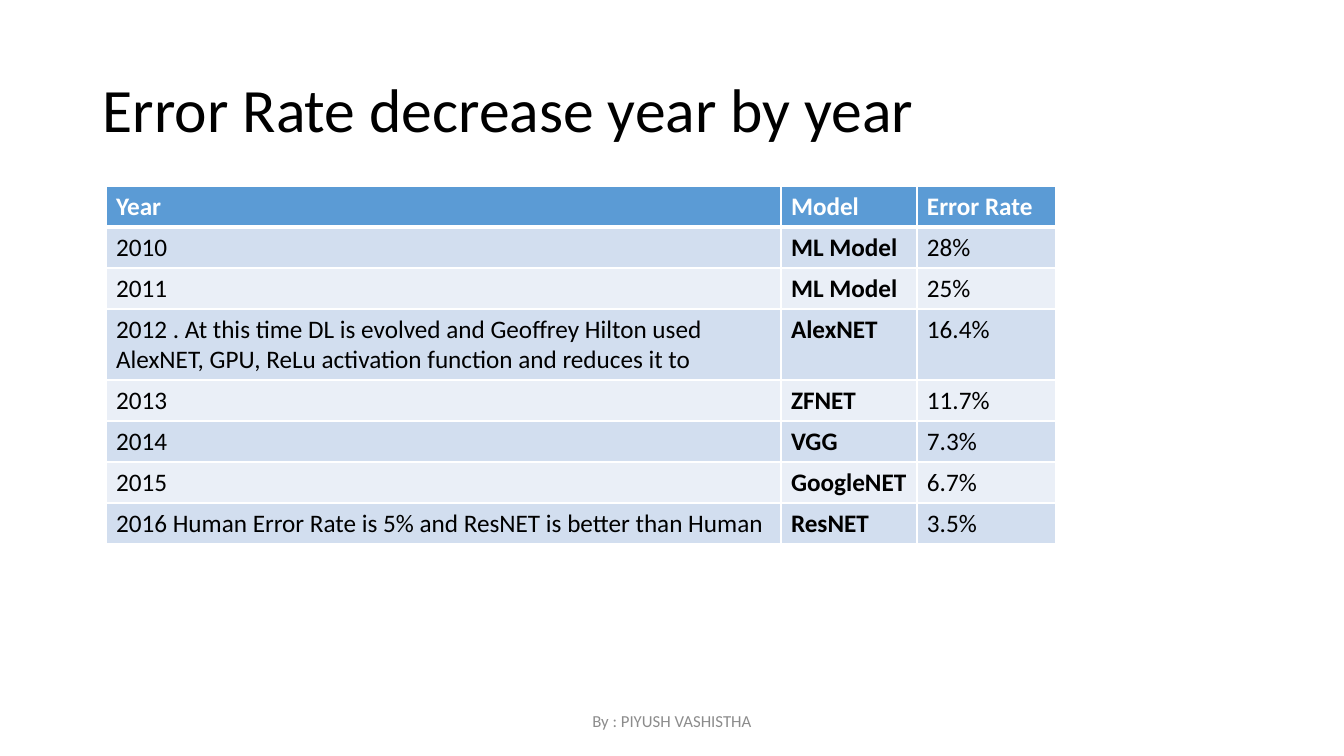
import pptx
import pptx.dml.color
import pptx.enum.text
import pptx.oxml
import pptx.oxml.ns
import pptx.util

PX = 914400 / 100.8
ANCHOR = pptx.enum.text.MSO_ANCHOR
ALIGN = pptx.enum.text.PP_ALIGN
WHITE, BLACK, GRAY = "FFFFFF", "000000", "8C8C8C"
HEAD, BANDS = "5B9BD5", ("D2DEEF", "EAEFF7")

COLS = (675, 136, 139)
ROWS = (
    ("Year", "Model", "Error Rate"),
    ("2010", "ML Model", "28%"),
    ("2011", "ML Model", "25%"),
    ("2012 . At this time DL is evolved and Geoffrey Hilton used AlexNET, GPU, "
     "ReLu activation function and reduces it to", "AlexNET", "16.4%"),
    ("2013", "ZFNET", "11.7%"),
    ("2014", "VGG", "7.3%"),
    ("2015", "GoogleNET", "6.7%"),
    ("2016 Human Error Rate is 5% and ResNET is better than Human", "ResNET", "3.5%"),
)
LONG = 3


def emu(px):
    return pptx.util.Emu(round(px * PX))


def color(code):
    return pptx.dml.color.RGBColor.from_string(code)


def apply(item, values):
    for name, value in values.items():
        setattr(item, name, value)


def style(para, size, code, bold=False):
    font = para.runs[0].font
    apply(font, {"name": "Calibri", "size": pptx.util.Pt(size), "bold": bold})
    font.color.rgb = color(code)


def label(slide, box, text, size, code, form):
    frame = slide.shapes.add_textbox(*map(emu, box)).text_frame
    apply(frame, {"word_wrap": True, "vertical_anchor": ANCHOR.MIDDLE})
    para = frame.paragraphs[0]
    para.text = text
    apply(para, form)
    style(para, size, code)


def border(cell, widths):
    props = cell._tc.get_or_add_tcPr()
    for side, width in zip("LRTB", widths):
        props.append(pptx.oxml.parse_xml(
            f'<a:ln{side} {pptx.oxml.ns.nsdecls("a")} w="{pptx.util.Pt(width)}">'
            f'<a:solidFill><a:srgbClr val="{WHITE}"/></a:solidFill></a:ln{side}>'))


def grid(slide, box):
    table = slide.shapes.add_table(len(ROWS), len(COLS), *map(emu, box)).table
    for col, width in zip(table.columns, COLS):
        col.width = emu(width)
    for r, row in enumerate(ROWS):
        table.rows[r].height = emu(71 if r == LONG else 41)
        top = r == 0
        for c, text in enumerate(row):
            cell = table.cell(r, c)
            cell.text = text
            border(cell, (1, 1, 3 if r == 1 else 1, 3 if top else 1))
            cell.fill.solid()
            cell.fill.fore_color.rgb = color(HEAD if top else BANDS[(r - 1) % 2])
            style(cell.text_frame.paragraphs[0], 18, WHITE if top else BLACK, top or c == 1)


def main():
    deck = pptx.Presentation()
    apply(deck, {"slide_width": emu(1344), "slide_height": emu(756)})
    slide = deck.slides.add_slide(deck.slide_layouts[6])
    label(slide, (93, 40, 1159, 146), "Error Rate decrease year by year", 44, BLACK,
          {"line_spacing": 0.9})
    grid(slide, (106, 186, sum(COLS), 358))
    label(slide, (445, 701, 454, 40), "By : PIYUSH VASHISTHA", 12, GRAY,
          {"alignment": ALIGN.CENTER})
    deck.save("out.pptx")


if __name__ == "__main__":
    main()
